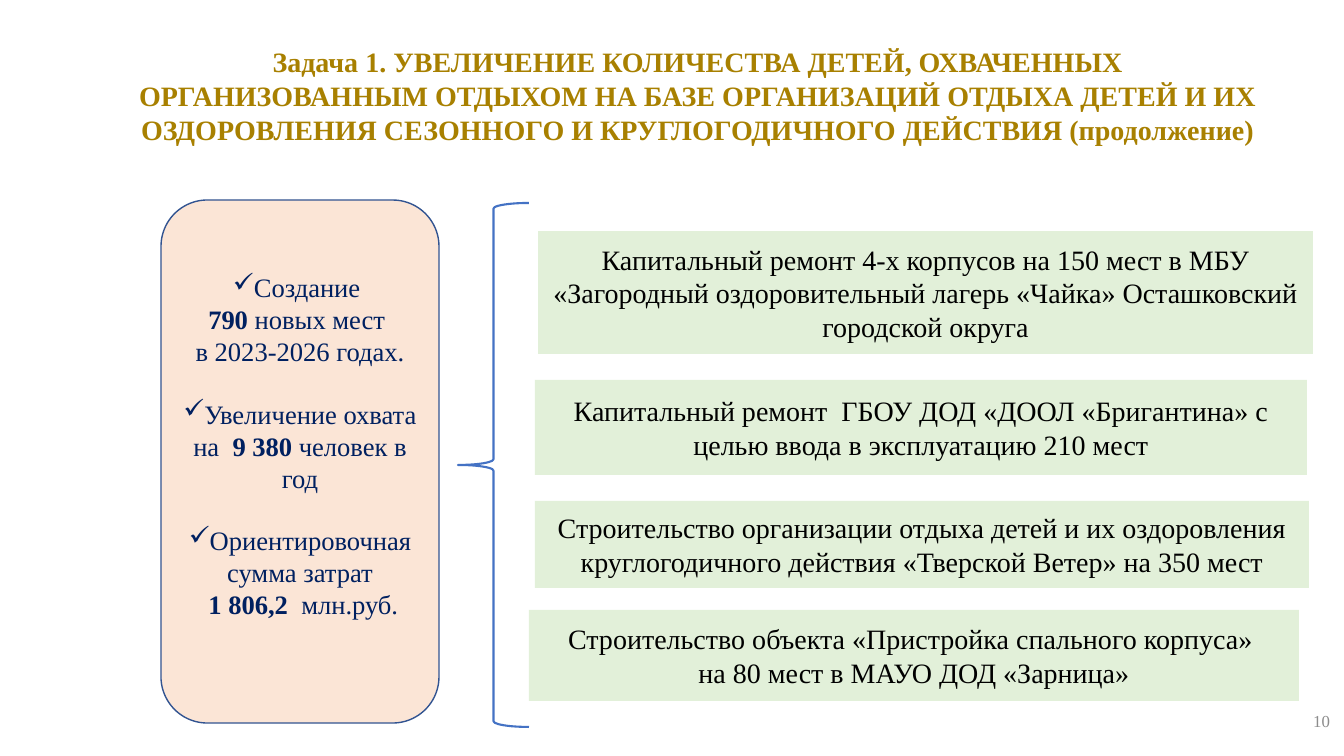
"""Build the slide on the first task: children's recreation places and projects."""
from lxml.etree import SubElement
from pptx import Presentation
from pptx.dml.color import RGBColor
from pptx.enum.shapes import MSO_SHAPE
from pptx.enum.text import MSO_ANCHOR, PP_ALIGN
from pptx.oxml.ns import qn
from pptx.util import Pt

PX = 914400 / 100.8
HUES = {"gold": "A88000", "gray": "8C8C8C", "green": "E2F0D9", "black": "000000",
        "blue": "4472C4", "peach": "FBE5D6", "edge": "325491", "navy": "002060"}


def px(*nums):
    return [round(n * PX) for n in nums]


def write(shape, paras, size, hue, pads, anchor=MSO_ANCHOR.MIDDLE,
          align=PP_ALIGN.CENTER, bold=None):
    frame = shape.text_frame
    frame.word_wrap = True
    frame.vertical_anchor = anchor
    (frame.margin_left, frame.margin_top,
     frame.margin_right, frame.margin_bottom) = px(*pads)
    for i, text in enumerate(paras):
        para = frame.paragraphs[0] if i == 0 else frame.add_paragraph()
        para.alignment = align
        if text.startswith("✓"):
            text = text[1:]
            if i:
                para.space_before = Pt(22)
            props = para._p.get_or_add_pPr()
            props.set("marL", "0")
            props.set("indent", "0")
            SubElement(props, qn("a:buChar")).set("char", "✓")
        para.font.name = "Times New Roman"
        para.font.size = Pt(size)
        para.font.bold = bold
        para.font.color.rgb = RGBColor.from_string(HUES[hue])
        for j, part in enumerate(text.split("*")):
            if part:
                run = para.add_run()
                run.text = part
                if j % 2:
                    run.font.bold = True


deck = Presentation()
deck.slide_width, deck.slide_height = px(1344, 756)
slide = deck.slides.add_slide(deck.slide_layouts[6])
shapes = slide.shapes

title = shapes.add_textbox(*px(129, 41, 1137, 80))
write(title, ["Задача 1. УВЕЛИЧЕНИЕ КОЛИЧЕСТВА ДЕТЕЙ, ОХВАЧЕННЫХ ОРГАНИЗОВАННЫМ "
              "ОТДЫХОМ НА БАЗЕ ОРГАНИЗАЦИЙ ОТДЫХА ДЕТЕЙ И ИХ ОЗДОРОВЛЕНИЯ "
              "СЕЗОННОГО И КРУГЛОГОДИЧНОГО ДЕЙСТВИЯ (продолжение)"],
      20, "gold", (7, 4, 7, 4), MSO_ANCHOR.TOP, bold=True)

page = shapes.add_textbox(*px(1038, 701, 302, 40))
write(page, ["10"], 12, "gray", (10, 5, 10, 5), align=PP_ALIGN.RIGHT)

works = [
    ((538, 231, 775, 123),
     ["Капитальный ремонт 4-х корпусов на 150 мест в МБУ «Загородный "
      "оздоровительный лагерь «Чайка» Осташковский городской округа"]),
    ((535, 380, 772, 95),
     ["Капитальный ремонт  ГБОУ ДОД «ДООЛ «Бригантина» с целью ввода "
      "в эксплуатацию 210 мест"]),
    ((535, 501, 774, 87),
     ["Строительство организации отдыха детей и их оздоровления "
      "круглогодичного действия «Тверской Ветер» на 350 мест"]),
    ((529, 610, 770, 91),
     ["Строительство объекта «Пристройка спального корпуса» ",
      "на 80 мест в МАУО ДОД «Зарница»"]),
]
for box, paras in works:
    card = shapes.add_shape(MSO_SHAPE.RECTANGLE, *px(*box))
    card.shadow.inherit = False
    card.fill.solid()
    card.fill.fore_color.rgb = RGBColor.from_string(HUES["green"])
    card.line.fill.background()
    write(card, paras, 20, "black", (8, 4, 8, 4))

brace = shapes.add_shape(MSO_SHAPE.LEFT_BRACE, *px(458, 203, 71, 524))
brace.adjustments[0] = 0.08
brace.adjustments[1] = 0.5
brace.shadow.inherit = False
brace.fill.background()
brace.line.color.rgb = RGBColor.from_string(HUES["blue"])
brace.line.width = Pt(1.5)

goals = shapes.add_shape(MSO_SHAPE.ROUNDED_RECTANGLE, *px(161, 200, 278, 523))
goals.shadow.inherit = False
goals.fill.solid()
goals.fill.fore_color.rgb = RGBColor.from_string(HUES["peach"])
goals.line.color.rgb = RGBColor.from_string(HUES["edge"])
goals.line.width = Pt(1)
write(goals, ["✓Создание ", "*790 *новых мест ", "в 2023-2026 годах.",
              "✓Увеличение охвата на  *9 380 *человек в год",
              "✓Ориентировочная сумма затрат", " *1 806,2  *млн.руб."],
      19, "navy", (8, 5, 8, 37))

deck.save("out.pptx")
